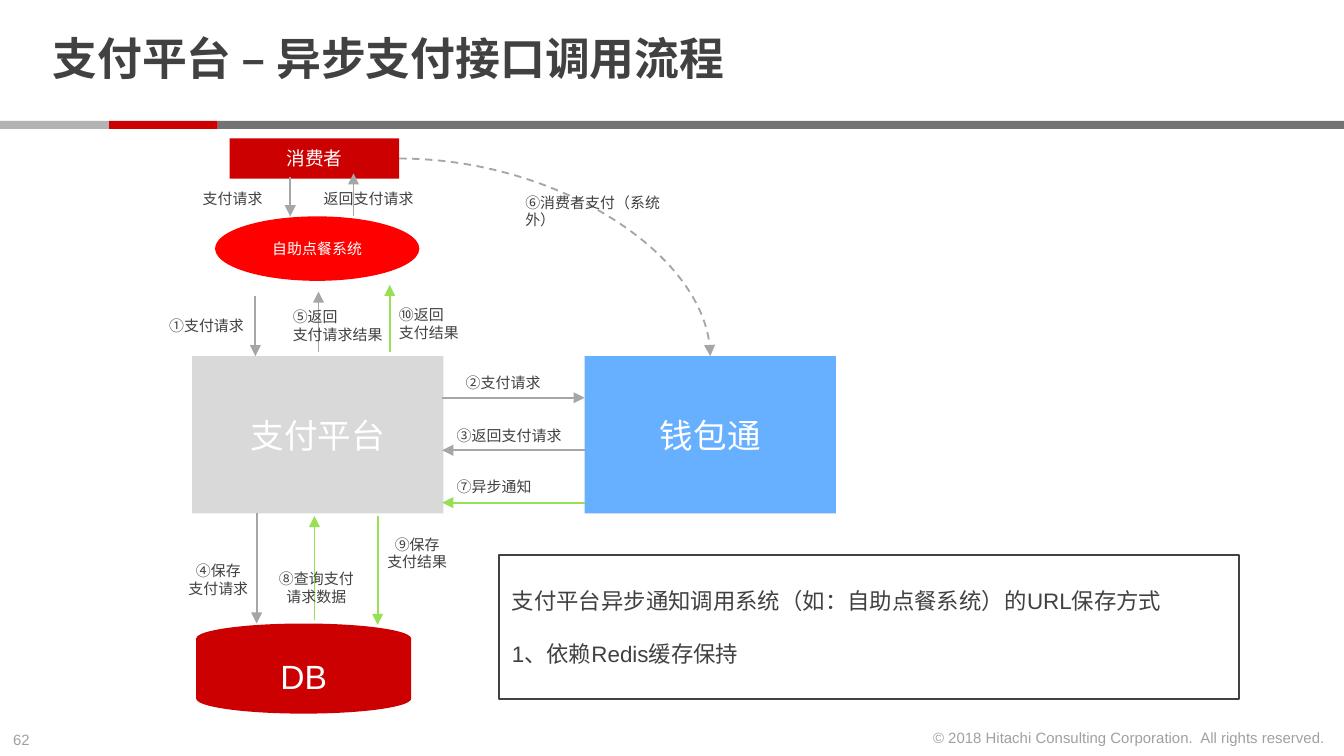
from typing import NamedTuple

from lxml import etree
from pptx import Presentation, util as u
from pptx.dml import color
from pptx.enum import dml, shapes, text
from pptx.oxml import ns

PX = 9144  # EMU per px, 100 px to the inch
HUES = {
    "ink": "414141", "pale": "A0A0A0", "white": "FFFFFF", "red": "CC0000",
    "bright": "FF0000", "light": "D9D9D9", "blue": "67AFFF", "line": "A6A6A6",
    "green": "97E055", "dark": "737373", "mid": "B3B3B3",
}
KIND = shapes.MSO_SHAPE
LEFT, MID, RIGHT = text.PP_ALIGN.LEFT, text.PP_ALIGN.CENTER, text.PP_ALIGN.RIGHT


class Area(NamedTuple):
    x: int
    y: int
    w: int
    h: int

    def emu(self) -> list[int]:
        return [n * PX for n in self]


class Node(NamedTuple):
    words: str
    area: Area
    kind: int
    fill: str
    size: int


class Arrow(NamedTuple):
    x1: int
    y1: int
    x2: int
    y2: int
    hue: str = "line"


class Label(NamedTuple):
    words: str
    area: Area
    align: int = LEFT


def rgb(hue: str) -> color.RGBColor:
    return color.RGBColor.from_string(HUES[hue])


def write(frame, words: str, size: int, hue: str, align=LEFT, face="Arial", bold=False):
    """Fill a text frame, one paragraph to a line of words."""
    frame.text = words
    frame.vertical_anchor = text.MSO_ANCHOR.MIDDLE
    for para in frame.paragraphs:
        para.alignment = align
        font = para.font
        font.name, font.size, font.bold = face, u.Pt(size), bold
        font.color.rgb = rgb(hue)


def block(slide, kind: int, area: Area, fill: str | None):
    shape = slide.shapes.add_shape(kind, *area.emu())
    shape.shadow.inherit = False
    if fill:
        shape.fill.solid()
        shape.fill.fore_color.rgb = rgb(fill)
        shape.line.fill.background()
    else:
        shape.fill.background()
    return shape


def node(slide, item: Node):
    shape = block(slide, item.kind, item.area, item.fill)
    write(shape.text_frame, item.words, item.size, "white", MID)
    return shape


def label(slide, item: Label, hue="ink", wrap=True) -> None:
    frame = slide.shapes.add_textbox(*item.area.emu()).text_frame
    frame.word_wrap = wrap
    write(frame, item.words, 8, hue, item.align)


def arrow(slide, item: Arrow, kind=shapes.MSO_CONNECTOR.STRAIGHT):
    link = slide.shapes.add_connector(kind, *[n * PX for n in item[:4]])
    link.line.color.rgb = rgb(item.hue)
    link.line.width = u.Pt(1)
    tip = etree.SubElement(link.line._get_or_add_ln(), ns.qn("a:tailEnd"))
    tip.set("type", "triangle")
    etree.SubElement(link._element.spPr, ns.qn("a:effectLst"))
    return link


BARS = [(162, 838, "dark"), (81, 81, "red"), (0, 81, "mid")]

BUYER = Node("消费者", Area(171, 103, 126, 30), KIND.RECTANGLE, "red", 10)
WALLET = Node("钱包通", Area(435, 265, 187, 117), KIND.RECTANGLE, "blue", 18)
NODES = [
    Node("自助点餐系统", Area(160, 161, 152, 48), KIND.OVAL, "bright", 8),
    Node("支付平台", Area(143, 265, 187, 117), KIND.RECTANGLE, "light", 18),
    Node("DB", Area(146, 464, 160, 67), KIND.FLOWCHART_MAGNETIC_DISK, "red", 18),
]

ARROWS = [
    # buyer and ordering system
    Arrow(216, 132, 216, 161),
    Arrow(263, 161, 263, 129),
    # ordering system and platform
    Arrow(190, 220, 190, 265),
    Arrow(237, 262, 237, 217),
    Arrow(290, 262, 290, 212, "green"),
    # platform and wallet
    Arrow(329, 296, 435, 296),
    Arrow(435, 335, 329, 335),
    Arrow(435, 374, 329, 374, "green"),
    # platform and database
    Arrow(191, 382, 191, 464),
    Arrow(234, 461, 234, 384, "green"),
    Arrow(281, 384, 281, 465, "green"),
]

LABELS = [
    Label("支付请求", Area(141, 136, 83, 23)),
    Label("返回支付请求", Area(231, 135, 118, 26)),
    Label("①支付请求", Area(116, 231, 83, 23)),
    Label("②支付请求", Area(333, 273, 83, 23), MID),
    Label("③返回支付请求", Area(330, 315, 106, 18)),
    Label("④保存\n支付请求", Area(121, 420, 83, 23), MID),
    Label("⑤返回\n支付请求结果", Area(208, 229, 118, 26)),
    Label("⑥消费者支付（系统外）", Area(381, 146, 135, 22)),
    Label("⑦异步通知", Area(330, 353, 106, 18)),
    Label("⑧查询支付请求数据", Area(194, 426, 83, 23), MID),
    Label("⑨保存\n支付结果", Area(269, 400, 83, 23), MID),
    Label("⑩返回\n支付结果", Area(287, 228, 118, 26)),
]

PAGE = Label("62", Area(0, 538, 34, 24))
RIGHTS = Label("© 2018 Hitachi Consulting Corporation.  All rights reserved.",
               Area(680, 537, 316, 24), RIGHT)
NOTE = "支付平台异步通知调用系统（如：自助点餐系统）的URL保存方式\n1、依赖Redis缓存保持"


def main() -> None:
    deck = Presentation()
    deck.slide_width = 1000 * PX
    deck.slide_height = deck.slide_width * 9 // 16
    slide = deck.slides.add_slide(deck.slide_layouts[5])

    # Title
    title = slide.shapes.title
    title.left, title.top, title.width, title.height = Area(29, 6, 771, 80).emu()
    frame = title.text_frame
    frame.auto_size = text.MSO_AUTO_SIZE.NONE
    frame.margin_top = frame.margin_bottom = 0
    write(frame, "支付平台 – 异步支付接口调用流程", 24, "ink",
          face="Noto Sans CJK SC", bold=True)
    frame.paragraphs[0].line_spacing = 0.85

    # Rule and footer
    for x, wide, hue in BARS:
        block(slide, KIND.RECTANGLE, Area(x, 90, wide, 6), hue)
    for item in (PAGE, RIGHTS):
        label(slide, item, "pale", False)

    # Flow chart
    for item in NODES:
        node(slide, item)
    buyer, wallet = node(slide, BUYER), node(slide, WALLET)
    for item in ARROWS:
        arrow(slide, item)

    # Dashed quarter curve from buyer to wallet
    curve = arrow(slide, Arrow(297, 118, 529, 265), shapes.MSO_CONNECTOR.CURVE)
    curve.begin_connect(buyer, 3)
    curve.end_connect(wallet, 0)
    curve.line.dash_style = dml.MSO_LINE.DASH
    curve._element.spPr.find(ns.qn("a:prstGeom")).set("prst", "curvedConnector2")

    for item in LABELS:
        label(slide, item)

    # Note
    note = block(slide, KIND.RECTANGLE, Area(371, 413, 551, 107), None)
    note.line.color.rgb = rgb("ink")
    note.line.width = u.Pt(1)
    write(note.text_frame, NOTE, 12, "ink")
    note.text_frame.paragraphs[1].space_before = u.Pt(14)

    deck.save("out.pptx")


if __name__ == "__main__":
    main()
